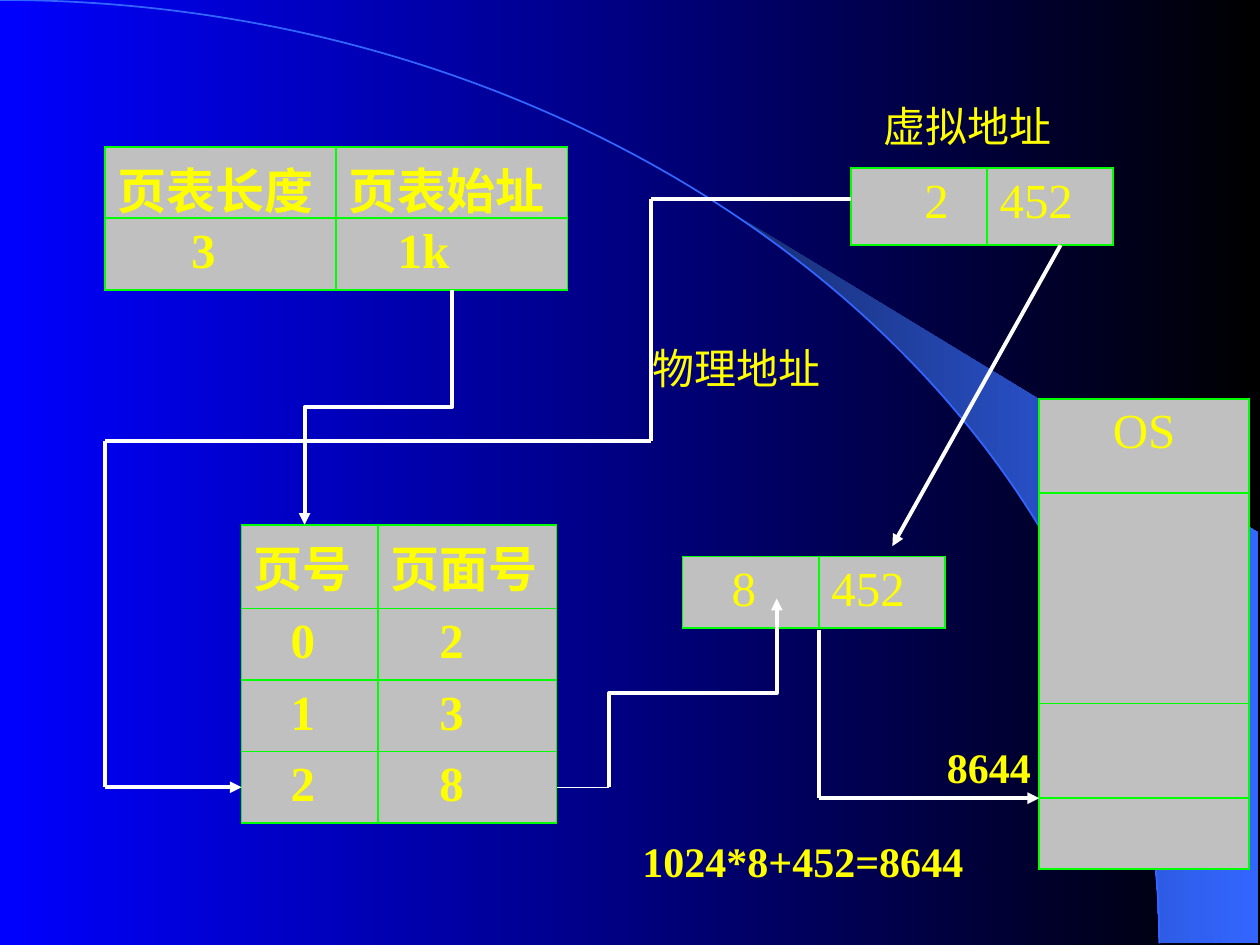
from dataclasses import dataclass
from itertools import pairwise
from math import asin, cos, pi, sin

from lxml import etree
from pptx import Presentation
from pptx import util as u
from pptx.dml import color
from pptx.enum import shapes
from pptx.oxml import ns


@dataclass(frozen=True)
class Theme:
    font: str = "Times New Roman"
    ink: str = "FFFF00"
    cell: str = "C0C0C0"
    grid: str = "00FF00"
    route: str = "FFFFFF"
    arc: str = "3366FF"
    band: str = "182F76"
    sky: tuple = ("0000FF", "000000")
    table_size: int = 28
    label_size: int = 24
    grid_width: float = 1.08
    route_width: float = 2.25
    thin_width: float = 0.75


@dataclass(frozen=True)
class Box:
    left: float
    top: float
    width: float
    height: float


THEME = Theme()
INSET = 0.25
STEP = THEME.table_size / 4 * 2.54 / 72
ROW = 1.44


def rgb(value):
    return color.RGBColor.from_string(value)


def fill_gradient(fill, colours):
    fill.gradient()
    fill.gradient_angle = 0
    for stop, value in zip(fill.gradient_stops, colours):
        stop.color.rgb = rgb(value)


def style_text(para, text, size, bold):
    para.text = text
    para.font.name = THEME.font
    para.font.size = u.Pt(size)
    para.font.bold = bold
    para.font.color.rgb = rgb(THEME.ink)


def draw_outline(page, points, closed):
    points = [(u.Cm(x), u.Cm(y)) for x, y in points]
    builder = page.shapes.build_freeform(*points[0])
    builder.add_line_segments(points[1:], close=closed)
    outline = builder.convert_to_shape()
    outline.shadow.inherit = False
    return outline


def bend_line(outline, controls):
    line = next(outline._element.iter(ns.qn("a:lnTo")))
    line.tag = ns.qn("a:cubicBezTo")
    for index, (x, y) in enumerate(controls):
        point = etree.Element(ns.qn("a:pt"), x=str(u.Cm(x)), y=str(u.Cm(y)))
        line.insert(index, point)


def draw_backdrop(page, box):
    fill_gradient(page.background.fill, THEME.sky)
    radius_x, radius_y = 23.37, 19.02
    start, count = asin(14.96 / radius_x), 13
    angles = [start + (pi / 2 - start) * i / count for i in range(count + 1)]
    edge = [(box.left + radius_x * sin(a), box.top + radius_y * (1 - cos(a)))
            for a in angles]
    right = box.left + box.width
    corners = [(right, box.top + radius_y), (right, box.top + 10.74)]
    band = draw_outline(page, edge + corners, True)
    fill_gradient(band.fill, (THEME.band, THEME.arc))
    band.line.fill.background()
    arc = draw_outline(page, [(box.left, box.top), edge[-1]], False)
    bend_line(arc, [(radius_x * 0.55, 0), (radius_x, radius_y * 0.45)])
    arc.fill.background()
    arc.line.color.rgb = rgb(THEME.arc)
    arc.line.width = u.Pt(1)


def set_borders(cell):
    for side in "LRTB":
        edge = etree.SubElement(cell._tc.get_or_add_tcPr(), ns.qn(f"a:ln{side}"),
                                w=str(u.Pt(THEME.grid_width)))
        fill = etree.SubElement(edge, ns.qn("a:solidFill"))
        etree.SubElement(fill, ns.qn("a:srgbClr"), val=THEME.grid)


def draw_table(page, box, widths, heights, rows, bold=False, bottom=0.13):
    frame = page.shapes.add_table(len(rows), len(widths), u.Cm(box.left), u.Cm(box.top),
                                  u.Cm(box.width), u.Cm(box.height))
    table = frame.table
    table.first_row = table.horz_banding = False
    for column, width in zip(table.columns, widths):
        column.width = u.Cm(width)
    for row, height in zip(table.rows, heights):
        row.height = u.Cm(height)
    for r, row in enumerate(rows):
        for c, (text, indent) in enumerate(row):
            cell = table.cell(r, c)
            cell.margin_left = u.Cm(INSET + STEP * indent)
            cell.margin_bottom = u.Cm(bottom)
            set_borders(cell)
            cell.fill.solid()
            cell.fill.fore_color.rgb = rgb(THEME.cell)
            if text:
                style_text(cell.text_frame.paragraphs[0], text, THEME.table_size, bold)


def draw_register(page, box):
    draw_table(page, box, [box.width / 2] * 2, [ROW] * 2,
               [[("页表长度", 0), ("页表始址", 0)], [("3", 6), ("1k", 4)]],
               bold=True, bottom=-0.12)


def draw_page_table(page, box):
    entries = [[(number, 3), (frame, 4)] for number, frame in ("02", "13", "28")]
    draw_table(page, box, [2.75, box.width - 2.75], [box.height - 3 * ROW] + [ROW] * 3,
               [[("页号", 0), ("页面号", 0)]] + entries, bold=True, bottom=0.1)


def draw_address(page, box, number, indent):
    draw_table(page, box, [2.75, box.width - 2.75], [box.height],
               [[(number, indent), ("452", 0)]])


def draw_memory(page, box):
    heights = [1.9, box.height - 2 * 1.9 - ROW, 1.9, ROW]
    draw_table(page, box, [box.width], heights,
               [[("OS", 5)], [("", 0)], [("", 0)], [("", 0)]])


def draw_label(page, box, text, bold=False, inset=INSET):
    label = page.shapes.add_textbox(u.Cm(box.left), u.Cm(box.top),
                                    u.Cm(box.width), u.Cm(box.height))
    label.text_frame.word_wrap = True
    label.text_frame.margin_left = u.Cm(inset)
    style_text(label.text_frame.paragraphs[0], text, THEME.label_size, bold)


def draw_route(page, start, end, arrow=False, width=THEME.route_width,
               kind=shapes.MSO_CONNECTOR.STRAIGHT):
    connector = page.shapes.add_connector(kind, *(u.Cm(v) for v in (*start, *end)))
    connector.line.color.rgb = rgb(THEME.route)
    connector.line.width = u.Pt(width)
    properties = connector._element.spPr
    if arrow:
        etree.SubElement(properties.get_or_add_ln(), ns.qn("a:tailEnd"), type="triangle")
    etree.SubElement(properties, ns.qn("a:effectLst"))
    return connector


def draw_vertical_elbow(page, start, end):
    middle_x, middle_y = (start[0] + end[0]) / 2, (start[1] + end[1]) / 2
    half_x, half_y = (end[1] - start[1]) / 2, (start[0] - end[0]) / 2
    elbow = draw_route(page, (middle_x - half_x, middle_y - half_y),
                       (middle_x + half_x, middle_y + half_y), True,
                       kind=shapes.MSO_CONNECTOR.ELBOW)
    elbow._element.spPr.find(ns.qn("a:xfrm")).set("rot", str(90 * 60000))


def draw_path(page, points):
    legs = list(pairwise(points))
    for leg in legs:
        draw_route(page, *leg, arrow=leg is legs[-1])


def draw_routes(page, register, virtual, pages, physical, memory):
    entry_y = pages.top + pages.height - ROW / 2
    pages_right = pages.left + pages.width
    turn = (12.28, entry_y)
    draw_vertical_elbow(page, (register.left + register.width * 0.75,
                               register.top + register.height), (6.14, pages.top))
    draw_vertical_elbow(page, turn, (15.66, 12.07))
    draw_route(page, turn, (pages_right, entry_y), width=THEME.thin_width)
    draw_route(page, (21.38, virtual.top + virtual.height), (17.99, 11.01), arrow=True)
    draw_path(page, [(virtual.left, 4.02), (13.12, 4.02), (13.12, 8.89),
                     (register.left, 8.89), (register.left, entry_y),
                     (pages.left, entry_y)])
    split_x = physical.left + 2.75
    draw_path(page, [(split_x, 12.7), (split_x, 16.09), (memory.left, 16.09)])


def main():
    deck = Presentation()
    deck.slide_width, deck.slide_height = u.Cm(25.4), u.Cm(19.05)
    page = deck.slides.add_slide(deck.slide_layouts[6])
    register = Box(2.12, 2.96, 9.32, 2 * ROW)
    virtual = Box(17.15, 3.39, 5.29, 1.55)
    pages = Box(4.87, 10.58, 6.35, 6.01)
    physical = Box(13.76, 11.22, 5.29, ROW)
    memory = Box(20.95, 8.04, 4.23, 9.48)
    draw_backdrop(page, Box(0, 0, 25.37, 19.05))
    draw_register(page, register)
    draw_address(page, virtual, "2", 5)
    draw_page_table(page, pages)
    draw_address(page, physical, "8", 3)
    draw_memory(page, memory)
    draw_label(page, Box(17.57, 1.9, 6.77, 1.27), "虚拟地址")
    draw_label(page, Box(12.91, 6.77, 6.35, 1.27), "物理地址")
    draw_label(page, Box(17.57, 14.82, 4.45, 1.27), "8644", bold=True, inset=1.52)
    draw_label(page, Box(12.7, 16.72, 12.7, 1.27), "1024*8+452=8644", bold=True)
    draw_routes(page, register, virtual, pages, physical, memory)
    deck.save("out.pptx")


if __name__ == "__main__":
    main()
